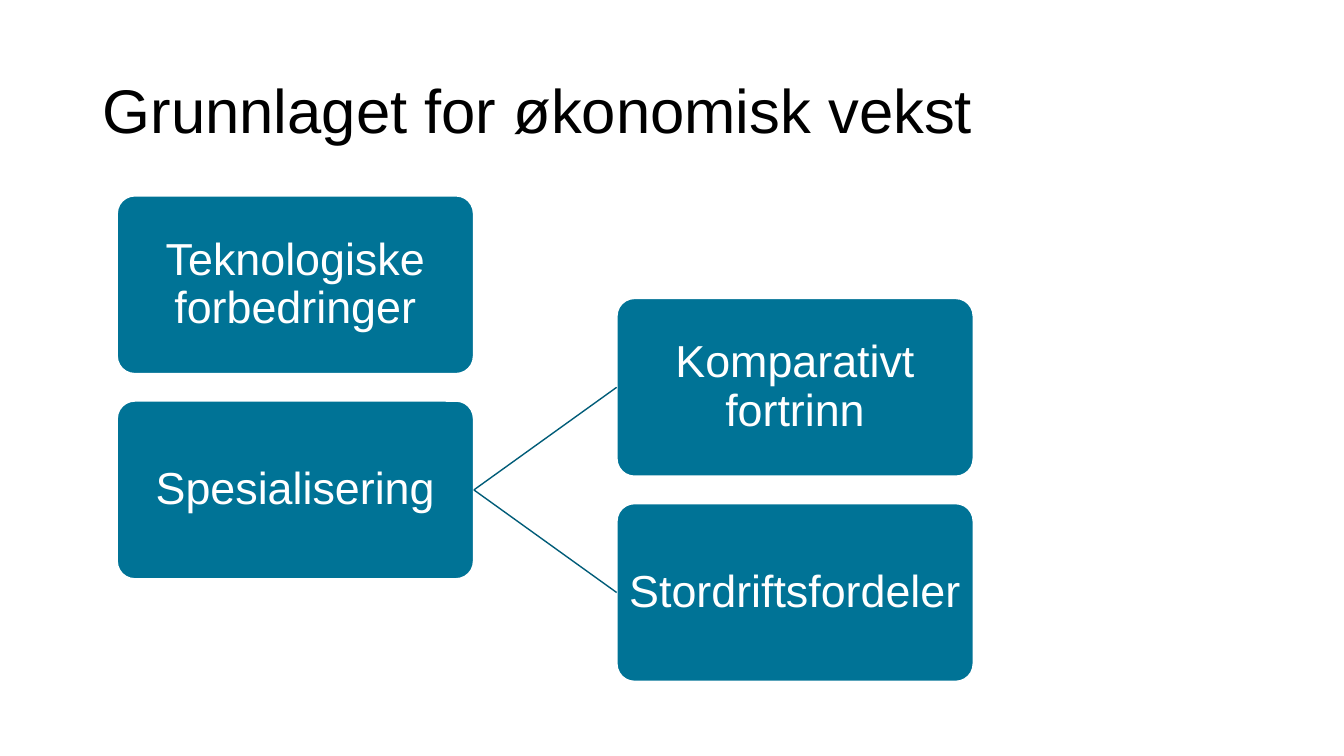
"""Build a slide on the foundations of economic growth."""
from lxml.etree import SubElement
from pptx import Presentation
from pptx.dml.color import RGBColor
from pptx.enum.shapes import MSO_CONNECTOR, MSO_SHAPE
from pptx.enum.text import MSO_ANCHOR as Anchor, PP_ALIGN as Align
from pptx.oxml.ns import qn
from pptx.util import Inches, Pt

TITLE = "Grunnlaget for økonomisk vekst"
BOXES = [
    ("Teknologiske forbedringer", 0, 0),
    ("Spesialisering", 0, 1),
    ("Komparativt fortrinn", 1, 0.5),
    ("Stordriftsfordeler", 1, 1.5),
]
LINKS = [
    ("Spesialisering", "Komparativt fortrinn"),
    ("Spesialisering", "Stordriftsfordeler"),
]

FONT = "Arial"
BLACK = RGBColor(0x00, 0x00, 0x00)
WHITE = RGBColor(0xFF, 0xFF, 0xFF)
TEAL = RGBColor(0x00, 0x73, 0x96)
DARK_TEAL = RGBColor(0x00, 0x5C, 0x78)

GRID_LEFT, GRID_TOP = 1.16, 1.94
BOX_WIDTH, BOX_HEIGHT = 3.54, 1.77
COLUMN_STEP = BOX_WIDTH * 1.4
ROW_STEP = BOX_HEIGHT * 1.15
RIGHT_SIDE, LEFT_SIDE = 3, 1


def write_text(frame, text, size, color, align):
    """Put one formatted run in a text frame."""
    frame.word_wrap = True
    frame.vertical_anchor = Anchor.MIDDLE
    paragraph = frame.paragraphs[0]
    paragraph.alignment = align
    paragraph.line_spacing = 0.9
    run = paragraph.add_run()
    run.text = text
    run.font.name = FONT
    run.font.size = Pt(size)
    run.font.color.rgb = color


def add_box(slide, text, column, row):
    """Add a rounded box at a grid position."""
    box = slide.shapes.add_shape(
        MSO_SHAPE.ROUNDED_RECTANGLE,
        Inches(GRID_LEFT + column * COLUMN_STEP),
        Inches(GRID_TOP + row * ROW_STEP),
        Inches(BOX_WIDTH),
        Inches(BOX_HEIGHT),
    )
    box.adjustments[0] = 0.1
    box.shadow.inherit = False
    box.fill.solid()
    box.fill.fore_color.rgb = TEAL
    box.line.color.rgb = WHITE
    box.line.width = Pt(1.5)
    frame = box.text_frame
    frame.margin_left = frame.margin_right = Inches(0.02)
    frame.margin_top = frame.margin_bottom = Inches(0.02)
    write_text(frame, text, 32, WHITE, Align.CENTER)
    return box


def add_link(slide, source, target):
    """Join the right side of one box to the left side of another."""
    link = slide.shapes.add_connector(MSO_CONNECTOR.STRAIGHT, 0, 0, 0, 0)
    link.begin_connect(source, RIGHT_SIDE)
    link.end_connect(target, LEFT_SIDE)
    link.line.color.rgb = DARK_TEAL
    link.line.width = Pt(1)
    SubElement(link._element.spPr, qn("a:effectLst"))


def main():
    """Assemble and save the slide."""
    presentation = Presentation()
    presentation.slide_width = Inches(13.33)
    presentation.slide_height = Inches(7.5)
    slide = presentation.slides.add_slide(presentation.slide_layouts[5])

    title = slide.shapes.title
    title.left, title.top = Inches(0.92), Inches(0.4)
    title.width, title.height = Inches(11.5), Inches(1.45)
    write_text(title.text_frame, TITLE, 44, BLACK, Align.LEFT)

    boxes = {text: add_box(slide, text, column, row) for text, column, row in BOXES}
    for source, target in LINKS:
        add_link(slide, boxes[source], boxes[target])

    presentation.save("out.pptx")


if __name__ == "__main__":
    main()
